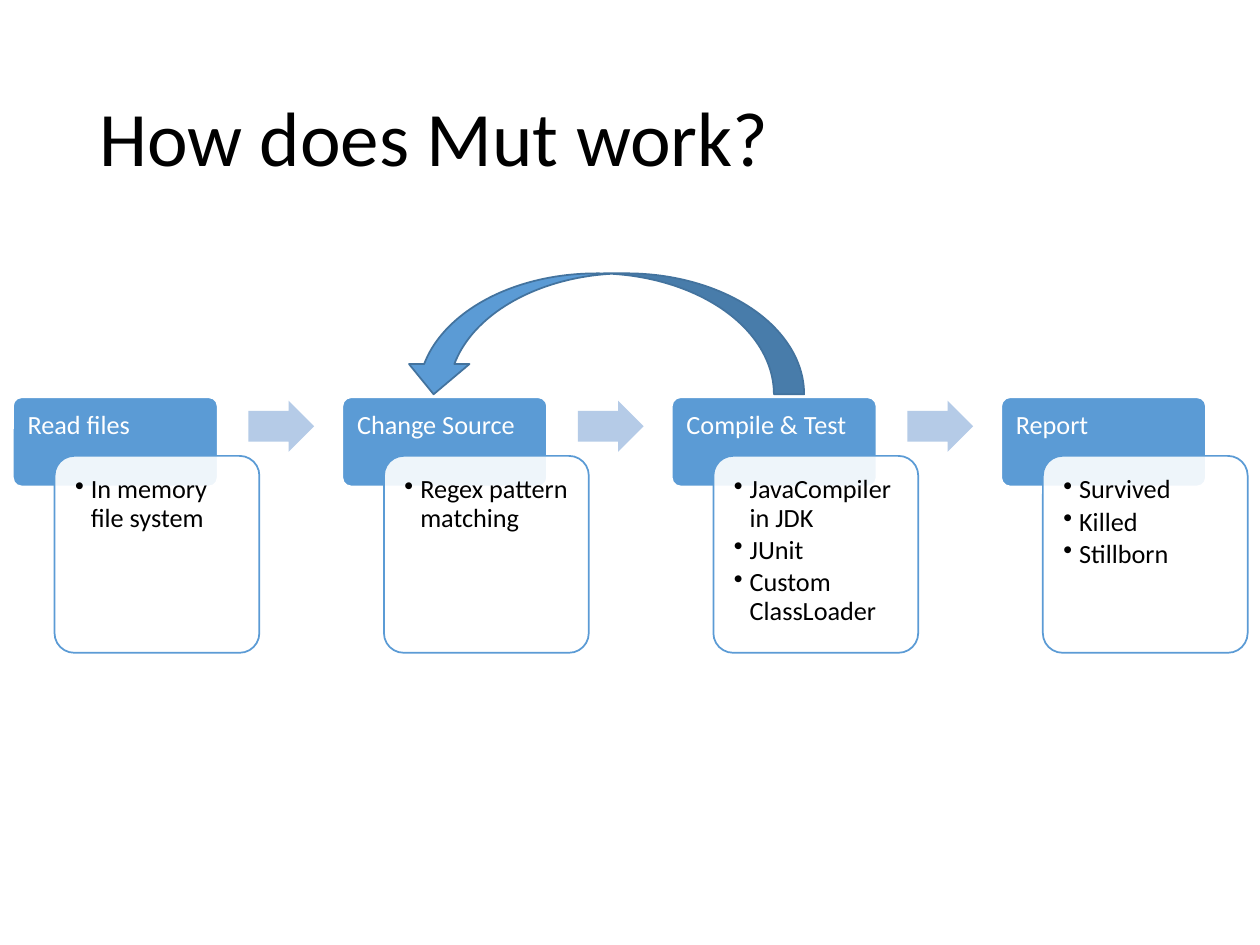
from dataclasses import dataclass

from lxml.etree import SubElement
from pptx import Presentation
from pptx.dml.color import RGBColor
from pptx.enum.shapes import MSO_SHAPE
from pptx.enum.text import MSO_ANCHOR, PP_ALIGN
from pptx.oxml.ns import qn
from pptx.util import Pt

# Content
TITLE = "How does Mut work?"
STEPS = [
    ("Read files", ["In memory file system"]),
    ("Change Source", ["Regex pattern matching"]),
    ("Compile & Test", ["JavaCompiler in JDK", "JUnit", "Custom ClassLoader"]),
    ("Report", ["Survived", "Killed", "Stillborn"]),
]


@dataclass(frozen=True)
class Theme:
    font: str = "Calibri"
    title_size: float = 44
    body_size: float = 15
    blue: str = "5B9BD5"
    dark_blue: str = "43739E"
    pale_blue: str = "B5CBE7"
    white: str = "FFFFFF"
    black: str = "000000"


THEME = Theme()

# Layout, in points: each part is offset from the left edge of its step
STEP_LEFT, STEP_PITCH = 7.4, 188.25
HEADER = (0, 227, 117, 51)
HEADING = (0, 227, 117, 34)
CARD = (23.8, 260.5, 117, 112.5)
CARD_INSET = 3.3
ARROW = (134.6, 229, 37.6, 29.2)
LOOP_ARROW = (230.5, 156.2, 229, 69.1)
INSET = 8.4


def add_part(slide, kind, box, fill, line=None, adjustments=()):
    part = slide.shapes.add_shape(kind, *map(Pt, box))
    part.shadow.inherit = False
    part.fill.solid()
    part.fill.fore_color.rgb = RGBColor.from_string(fill)
    if line:
        part.line.color.rgb = RGBColor.from_string(line)
        part.line.width = Pt(1)
    else:
        part.line.fill.background()
    for index, value in enumerate(adjustments):
        part.adjustments[index] = value
    return part


def set_opacity(part, percent):
    color = part.fill._xPr.find(qn("a:solidFill"))[0]
    SubElement(color, qn("a:alpha"), val=str(percent * 1000))


def write_run(paragraph, text, size, color):
    paragraph.alignment = PP_ALIGN.LEFT
    paragraph.line_spacing = 0.9
    run = paragraph.add_run()
    run.text = text
    run.font.name = THEME.font
    run.font.size = Pt(size)
    run.font.color.rgb = RGBColor.from_string(color)


def add_bullet(paragraph):
    paragraph.level = 1
    properties = paragraph._p.get_or_add_pPr()
    properties.set("marL", str(Pt(9)))
    properties.set("indent", str(-Pt(9)))
    SubElement(properties, qn("a:buChar"), char="•")


def add_text(slide, box, lines, color, space_after, bottom, bulleted=False):
    frame = slide.shapes.add_textbox(*map(Pt, box)).text_frame
    frame.word_wrap = True
    frame.vertical_anchor = MSO_ANCHOR.TOP
    frame.margin_left = frame.margin_right = frame.margin_top = Pt(INSET)
    frame.margin_bottom = Pt(bottom)
    for index, line in enumerate(lines):
        paragraph = frame.add_paragraph() if index else frame.paragraphs[0]
        write_run(paragraph, line, THEME.body_size, color)
        paragraph.space_after = Pt(space_after)
        if bulleted:
            add_bullet(paragraph)


def add_step(slide, index, heading, details):
    step_left = STEP_LEFT + index * STEP_PITCH

    def place(box):
        return (step_left + box[0], *box[1:])

    # Heading block
    add_part(slide, MSO_SHAPE.ROUNDED_RECTANGLE, place(HEADER),
             THEME.blue, THEME.white, [0.1])
    add_text(slide, place(HEADING), [heading], THEME.white, 5.25, INSET / 2)

    # Detail card
    card = add_part(slide, MSO_SHAPE.ROUNDED_RECTANGLE, place(CARD),
                    THEME.white, THEME.blue, [0.1])
    set_opacity(card, 90)
    left, top, width, height = place(CARD)
    inner = (left + CARD_INSET, top + CARD_INSET,
             width - 2 * CARD_INSET, height - 2 * CARD_INSET)
    add_text(slide, inner, details, THEME.black, 2.25, INSET, bulleted=True)

    # Arrow to the next step
    if index < len(STEPS) - 1:
        add_part(slide, MSO_SHAPE.RIGHT_ARROW, place(ARROW),
                 THEME.pale_blue, adjustments=[0.6, 0.5])


def main():
    deck = Presentation()
    deck.slide_width, deck.slide_height = Pt(720), Pt(540)
    slide = deck.slides.add_slide(deck.slide_layouts[5])

    # Title
    title = slide.shapes.title
    title.left, title.top, title.width, title.height = map(
        Pt, (49.5, 28.75, 621, 104.4))
    title.text_frame.vertical_anchor = MSO_ANCHOR.MIDDLE
    write_run(title.text_frame.paragraphs[0], TITLE,
              THEME.title_size, THEME.black)

    # Process steps
    for index, (heading, details) in enumerate(STEPS):
        add_step(slide, index, heading, details)

    # Loop back from testing to changing the source
    loop = add_part(slide, MSO_SHAPE.CURVED_UP_ARROW, LOOP_ARROW,
                    THEME.blue, THEME.dark_blue)
    loop.rotation = 180

    deck.save("out.pptx")


if __name__ == "__main__":
    main()
